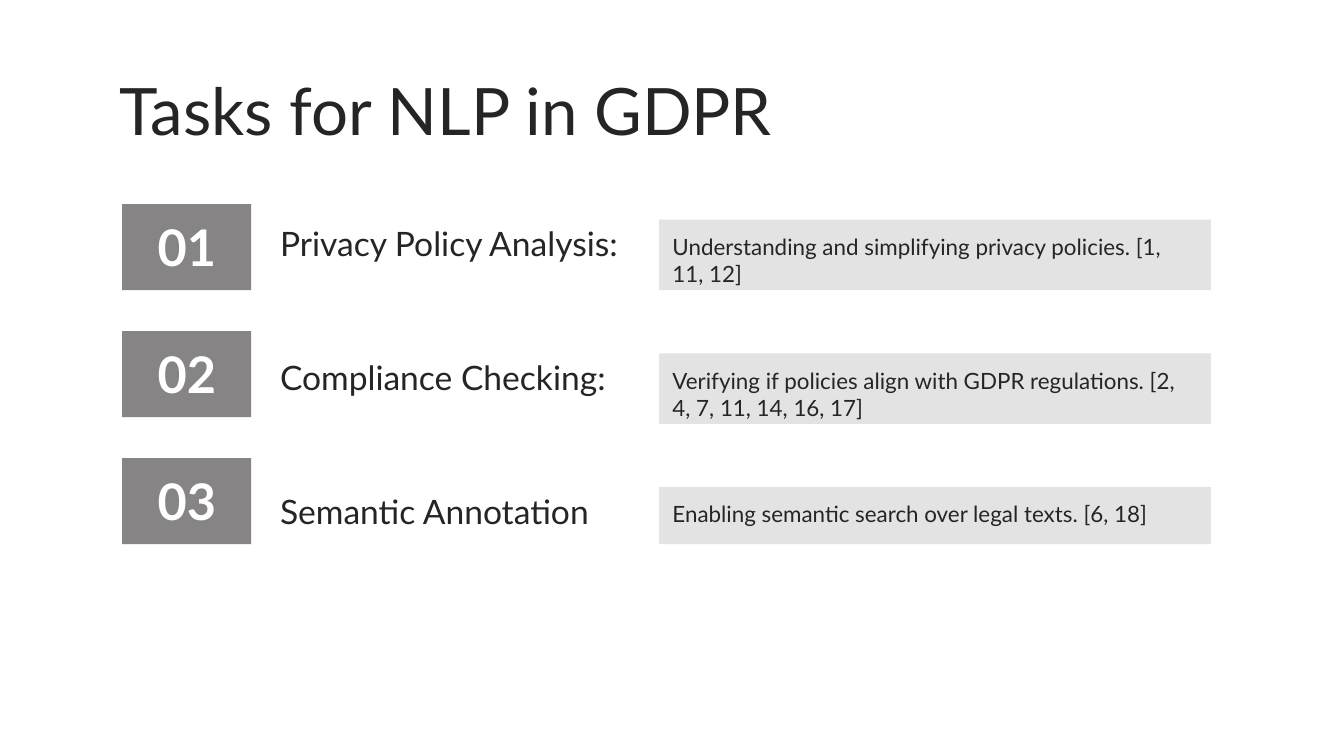
from typing import NamedTuple

from pptx import Presentation
from pptx.dml.color import RGBColor
from pptx.enum.shapes import MSO_SHAPE
from pptx.enum.text import MSO_ANCHOR, MSO_AUTO_SIZE, PP_ALIGN
from pptx.util import Emu, Pt

RECTANGLE = MSO_SHAPE.RECTANGLE
TOP, BOTTOM = MSO_ANCHOR.TOP, MSO_ANCHOR.BOTTOM
LEFT, CENTER = PP_ALIGN.LEFT, PP_ALIGN.CENTER
NO_AUTOFIT = MSO_AUTO_SIZE.NONE

EMU_PER_PX = 4572  # 200 px to the inch
FONT = "Lato"
INSET = 20
BADGE_STEP = 189
TEXT_STEP = 199
COLORS = {
    "text": "252525",
    "badge": "868484",
    "badge_text": "FFFFFF",
    "description": "E3E3E3",
}


class Box(NamedTuple):
    left: int
    top: int
    width: int
    height: int


class TextStyle(NamedTuple):
    size: int
    color: str = "text"
    bold: bool = False
    align: PP_ALIGN = LEFT
    anchor: MSO_ANCHOR = TOP
    right_inset: int = INSET


class Task(NamedTuple):
    name: str
    description: str
    description_height: int = 105


TITLE_STYLE = TextStyle(35)
BADGE_STYLE = TextStyle(27, "badge_text", True, CENTER, BOTTOM)
NAME_STYLE = TextStyle(18, anchor=BOTTOM)
DESCRIPTION_STYLE = TextStyle(12, right_inset=23)

TASKS = [
    Task("Privacy Policy Analysis:",
         "Understanding and simplifying privacy policies. [1, 11, 12]"),
    Task("Compliance Checking:",
         "Verifying if policies align with GDPR regulations. [2, 4, 7, 11, 14, 16, 17]"),
    Task("Semantic Annotation",
         "Enabling semantic search over legal texts. [6, 18]", 85),
]


def px(length: int) -> Emu:
    return Emu(length * EMU_PER_PX)


def rgb(name: str) -> RGBColor:
    return RGBColor.from_string(COLORS[name])


def write_text(shape, text: str, style: TextStyle) -> None:
    frame = shape.text_frame
    frame.word_wrap = True
    frame.auto_size = NO_AUTOFIT
    frame.vertical_anchor = style.anchor
    frame.margin_left = frame.margin_top = frame.margin_bottom = px(INSET)
    frame.margin_right = px(style.right_inset)
    paragraph = frame.paragraphs[0]
    paragraph.alignment = style.align
    paragraph.line_spacing = 1.0
    run = paragraph.add_run()
    run.text = text
    run.font.name = FONT
    run.font.size = Pt(style.size)
    run.font.bold = style.bold
    run.font.color.rgb = rgb(style.color)


def add_text(slide, box: Box, text: str, style: TextStyle) -> None:
    shape = slide.shapes.add_textbox(*map(px, box))
    write_text(shape, text, style)


def add_panel(slide, box: Box, fill: str, text: str, style: TextStyle) -> None:
    shape = slide.shapes.add_shape(RECTANGLE, *map(px, box))
    shape.shadow.inherit = False
    shape.fill.solid()
    shape.fill.fore_color.rgb = rgb(fill)
    shape.line.fill.background()
    write_text(shape, text, style)


def add_title(slide, box: Box, text: str) -> None:
    title = slide.shapes.title
    title.left, title.top, title.width, title.height = map(px, box)
    write_text(title, text, TITLE_STYLE)


def add_task(slide, index: int, task: Task) -> None:
    text_offset = index * TEXT_STEP
    add_panel(slide, Box(182, 304 + index * BADGE_STEP, 192, 128), "badge",
              f"{index + 1:02}", BADGE_STYLE)
    add_text(slide, Box(397, 284 + text_offset, 584, 128), task.name, NAME_STYLE)
    add_panel(slide, Box(981, 327 + text_offset, 821, task.description_height),
              "description", task.description, DESCRIPTION_STYLE)


def main() -> None:
    presentation = Presentation()
    presentation.slide_width = px(2000)
    presentation.slide_height = px(1125)
    slide = presentation.slides.add_slide(presentation.slide_layouts[5])

    # Title
    add_title(slide, Box(158, 84, 1686, 126), "Tasks for NLP in GDPR")

    # Numbered tasks, one to a row
    for index, task in enumerate(TASKS):
        add_task(slide, index, task)

    presentation.save("out.pptx")


if __name__ == "__main__":
    main()
